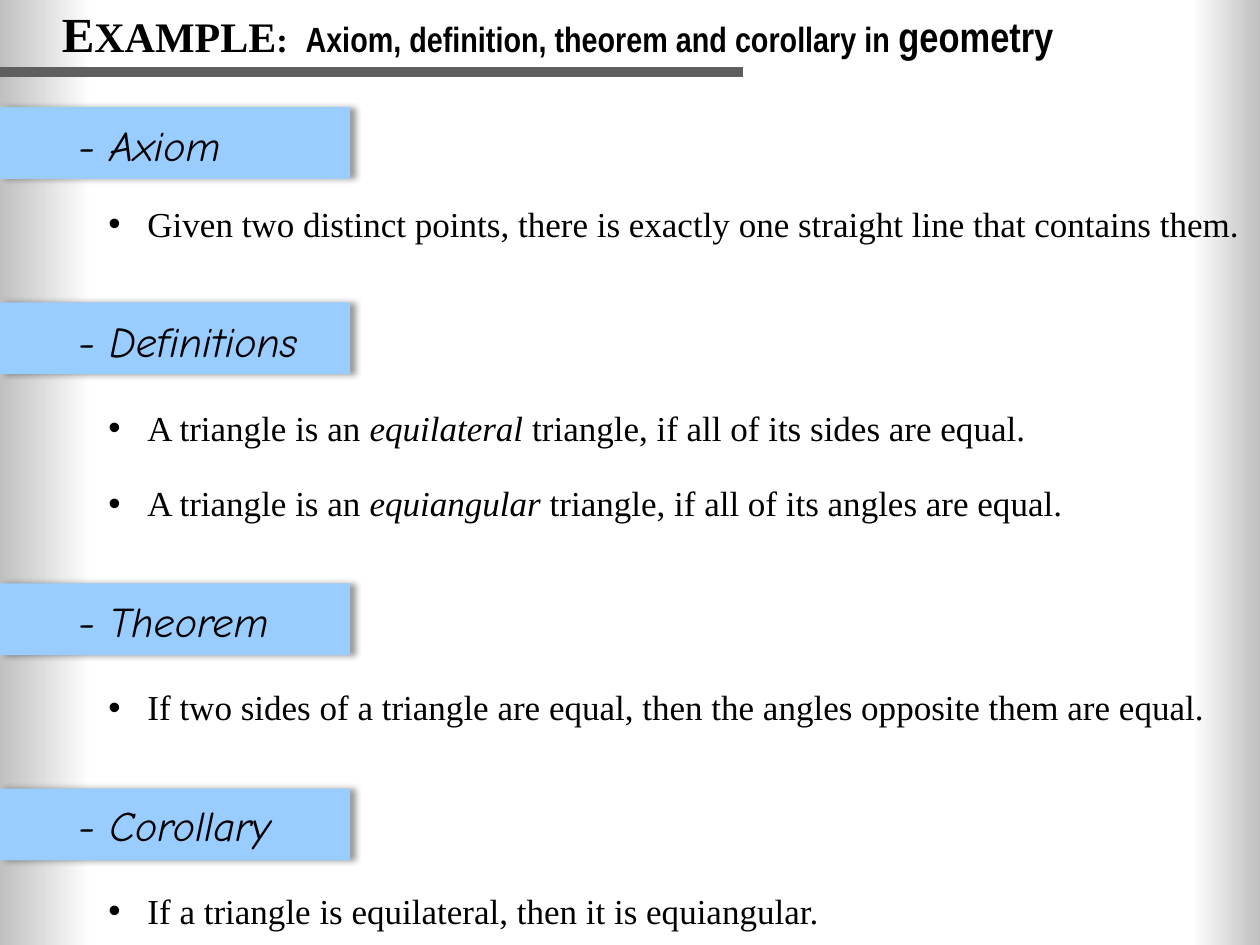
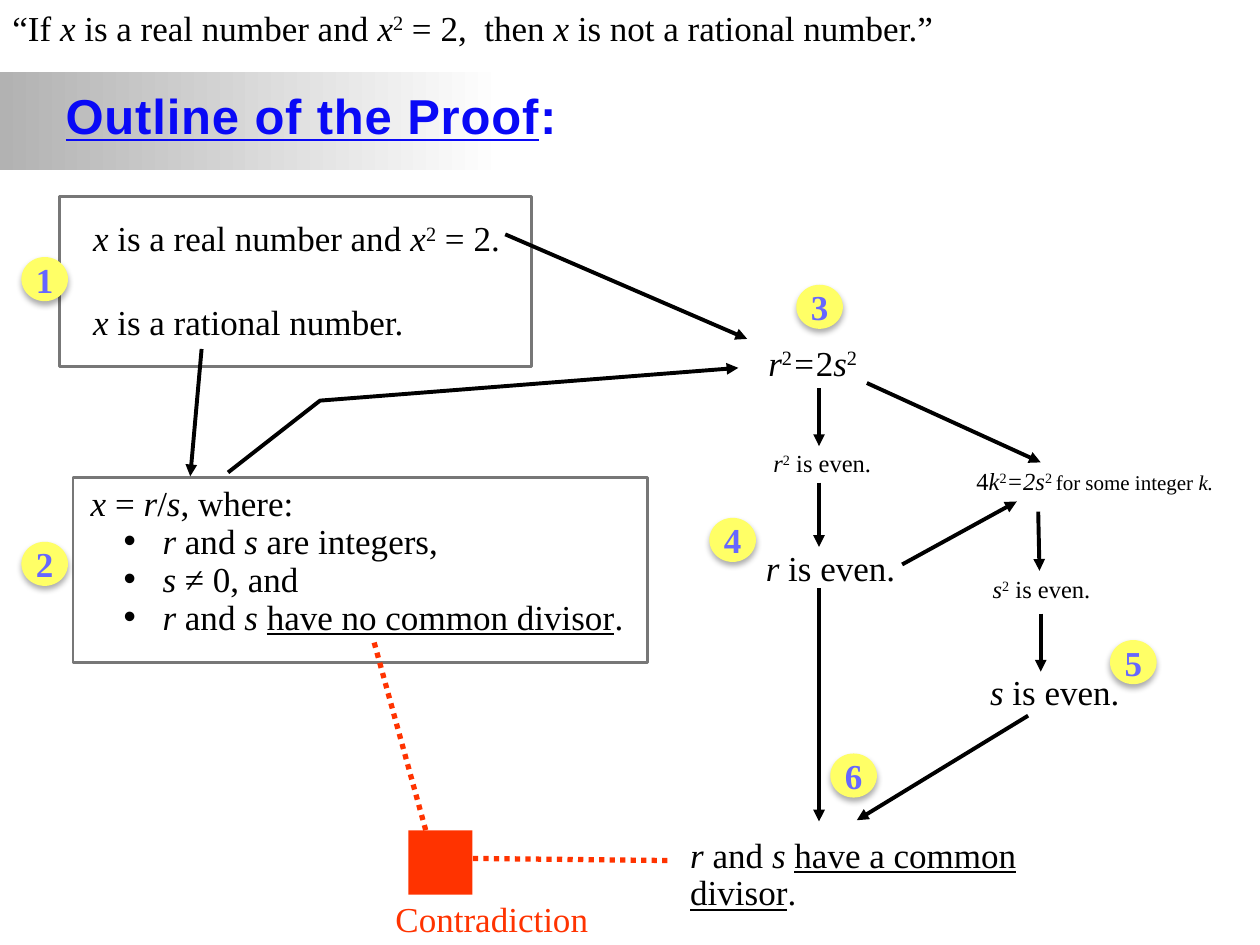
from lxml import etree
from pptx import Presentation
from pptx import util as u
from pptx.dml.color import RGBColor
from pptx.enum import dml, shapes, text
from pptx.oxml.ns import qn

BLACK = RGBColor(0, 0, 0)
WHITE = RGBColor(255, 255, 255)
SILVER = RGBColor(0xC0, 0xC0, 0xC0)
ASH = RGBColor(0xB2, 0xB2, 0xB2)
RULE_GRAY = RGBColor(0x5F, 0x5F, 0x5F)
FRAME_GRAY = RGBColor(0x77, 0x77, 0x77)
BAND_BLUE = RGBColor(0x99, 0xCC, 0xFF)
TITLE_BLUE = RGBColor(0x09, 0x09, 0xF6)
BADGE_YELLOW = RGBColor(0xFF, 0xFF, 0x66)
BADGE_TEXT = RGBColor(0x66, 0x66, 0xFF)
CLASH_RED = RGBColor(0xFF, 0x33, 0x00)

SERIF, SANS, NARROW, HAND = "Times New Roman", "Arial", "Arial Narrow", "Comic Neue"
COLUMNS, ROWS = 10, 7.5  # the slide is a grid of one-inch cells
CELL = u.Inches(1)
TIGHT = 0.9  # line spacing of titles and lists


def grid(*cells):
    """Turn grid cells into slide lengths."""
    return [u.Emu(round(cell * CELL)) for cell in cells]


def write(paragraph, marked, size=20, font=SERIF, color=BLACK, bold=False, spacing=0):
    """Add runs; *italic*, ^superscript^, _underline_ and ~wide~ are marked."""
    pieces, active = [], frozenset()
    for character in marked:
        if character in "*^_~":
            active = active ^ {character}
        elif pieces and pieces[-1][1] == active:
            pieces[-1][0] += character
        else:
            pieces.append([character, active])
    for words, marks in pieces:
        run = paragraph.add_run()
        run.text = words
        run.font.size, run.font.name, run.font.bold = u.Pt(size), font, bold
        run.font.color.rgb = color
        run.font.italic, run.font.underline = "*" in marks, "_" in marks
        properties = run.font._element
        if "^" in marks:
            properties.set("baseline", "30000")
        extra = 5 if "~" in marks else spacing
        if extra:
            properties.set("spc", str(round(extra * 100)))


def indent(paragraph, margin, bullet=False, before=0):
    """Set the left margin, a hanging bullet and the gap above."""
    paragraph.line_spacing = TIGHT
    paragraph.space_before = u.Pt(before)
    properties = paragraph._p.get_or_add_pPr()
    hanging = -0.31 if bullet else 0
    properties.set("marL", str(grid(margin)[0]))
    properties.set("indent", str(grid(hanging)[0]))
    if bullet:
        etree.SubElement(properties, qn("a:buChar")).set("char", "•")
    else:
        etree.SubElement(properties, qn("a:buNone"))


def add_shadow(shape, alpha, blur, distance, angle):
    """Give a shape a soft black shadow."""
    effects = etree.SubElement(shape.element.spPr, qn("a:effectLst"))
    outer = etree.SubElement(effects, qn("a:outerShdw"), blurRad=str(u.Pt(blur)),
                             dist=str(u.Pt(distance)), dir=str(angle * 60000),
                             algn="ctr", rotWithShape="0")
    color = etree.SubElement(outer, qn("a:srgbClr"), val="000000")
    etree.SubElement(color, qn("a:alpha"), val=str(alpha * 1000))


def add_block(slide, box, fill=None, outline=None, kind=shapes.MSO_SHAPE.RECTANGLE,
              shadow=None):
    """Add a plain shape; a pair of colours makes a left-to-right gradient."""
    shape = slide.shapes.add_shape(kind, *grid(*box))
    if isinstance(fill, list):
        shape.fill.gradient()
        shape.fill.gradient_angle = 0
        for stop, color, position in zip(shape.fill.gradient_stops, fill, (0, 1)):
            stop.color.rgb, stop.position = color, position
    elif fill is not None:
        shape.fill.solid()
        shape.fill.fore_color.rgb = fill
    else:
        shape.fill.background()
    if outline is not None:
        shape.line.color.rgb, shape.line.width = outline, u.Pt(1.5)
    else:
        shape.line.fill.background()
    if shadow:
        add_shadow(shape, *shadow)
    else:
        shape.shadow.inherit = False
    return shape


def style_line(shape, color, width, arrow):
    """Format a line and put an arrowhead on its end if asked."""
    shape.line.color.rgb, shape.line.width = color, u.Pt(width)
    if arrow:
        line = shape.line._get_or_add_ln()
        etree.SubElement(line, qn("a:tailEnd"), type="triangle")


def add_line(slide, start, end, color=BLACK, width=2.25, arrow=True):
    """Draw a straight line between two grid points."""
    line = slide.shapes.add_connector(shapes.MSO_CONNECTOR.STRAIGHT,
                                      *grid(*start, *end))
    style_line(line, color, width, arrow)
    etree.SubElement(line.element.spPr, qn("a:effectLst"))


def add_bent_line(slide, points, color=BLACK, width=2.25, arrow=True):
    """Draw an open line through several grid points."""
    first, *others = [grid(*point) for point in points]
    builder = slide.shapes.build_freeform(*first, scale=1.0)
    builder.add_line_segments(others, close=False)
    shape = builder.convert_to_shape()
    shape.fill.background()
    shape.shadow.inherit = False
    style_line(shape, color, width, arrow)
    return shape


def set_placeholder(slide, index, box):
    """Move a placeholder in front of what is drawn and return its text frame."""
    shape = slide.placeholders[index]
    shape.left, shape.top, shape.width, shape.height = grid(*box)
    shape.element.getparent().append(shape.element)
    frame = shape.text_frame
    frame.word_wrap, frame.auto_size = True, text.MSO_AUTO_SIZE.NONE
    frame.vertical_anchor = text.MSO_ANCHOR.TOP
    frame.paragraphs[0].alignment = text.PP_ALIGN.LEFT
    return frame


def add_text(slide, box, *lines, size=20, color=BLACK, gap=0, line_spacing=1.0):
    """Add a text box with one paragraph for each line."""
    frame = slide.shapes.add_textbox(*grid(*box)).text_frame
    frame.word_wrap = True
    for number, line in enumerate(lines):
        paragraph = frame.add_paragraph() if number else frame.paragraphs[0]
        paragraph.line_spacing = line_spacing
        paragraph.space_before = u.Pt(gap if number else 0)
        write(paragraph, line, size, color=color)


def add_badge(slide, number, left, top):
    """Add a numbered yellow step marker."""
    badge = add_block(slide, (left, top, 0.37, 0.35), BADGE_YELLOW,
                      kind=shapes.MSO_SHAPE.OVAL, shadow=(32, 3.5, 2.2, 90))
    frame = badge.text_frame
    frame.margin_left = frame.margin_right = frame.margin_top = frame.margin_bottom = 0
    frame.word_wrap = False
    frame.vertical_anchor = text.MSO_ANCHOR.MIDDLE
    frame.paragraphs[0].alignment = text.PP_ALIGN.CENTER
    write(frame.paragraphs[0], str(number), color=BADGE_TEXT, bold=True)


def add_side_shades(slide):
    """Shade the left and right edges of the slide."""
    add_block(slide, (COLUMNS - 0.54, 0, 0.54, ROWS), [WHITE, SILVER])
    add_block(slide, (0, 0, 0.73, ROWS), [SILVER, WHITE])


def add_sections(slide, box, sections):
    """Write headings with bullets below them into the body."""
    frame = set_placeholder(slide, 1, box)
    for number, (heading, gap, bullets) in enumerate(sections):
        paragraph = frame.add_paragraph() if number else frame.paragraphs[0]
        indent(paragraph, 0.52, before=44 if number else 0)
        write(paragraph, f"*- {heading}*", 24, HAND)
        for position, bullet in enumerate(bullets):
            paragraph = frame.add_paragraph()
            indent(paragraph, 1.07, True, before=21.6 if position else gap)
            write(paragraph, bullet)


def build_terms_slide(presentation):
    """Build the slide that shows the four kinds of statement."""
    slide = presentation.slides.add_slide(presentation.slide_layouts[1])
    add_side_shades(slide)
    for top in (0.85, 2.4, 4.63, 6.26):
        add_block(slide, (0, top, 2.78, 0.57), BAND_BLUE, shadow=(40, 4, 3, 0))
    title = set_placeholder(slide, 0, (0.39, 0.03, 9.5, 0.5)).paragraphs[0]
    title.line_spacing = TIGHT
    write(title, "E", 28, bold=True)
    write(title, "XAMPLE", 24, bold=True)
    write(title, ":~ ~", bold=True)
    write(title, "Axiom, definition, theorem and corollary in ", 20, NARROW, bold=True)
    write(title, "geometry", 24, NARROW, bold=True)
    add_sections(slide, (0, 0.94, COLUMNS, 6.5), [
        ("Axiom", 21, ["Given two distinct points, there is exactly one straight line "
                       "that contains them."]),
        ("Definitions", 25, [
            "A triangle is an *equilateral* triangle, if all of its sides are equal.",
            "A triangle is an *equiangular* triangle, if all of its angles are equal."]),
        ("Theorem", 25, ["If two sides of a triangle are equal, then the angles "
                         "opposite them are equal."]),
        ("Corollary", 25, ["If a triangle is equilateral, then it is equiangular."]),
    ])
    add_line(slide, (0, 0.57), (5.9, 0.57), RULE_GRAY, 6, arrow=False)


def add_assumptions(slide):
    """Write the two framed groups of assumptions."""
    add_text(slide, (0.64, 1.67, 3.6, 1.1), "*x* is a real number and *x*^2^ = 2.",
             "*x* is a rational number.", gap=24)
    frame = set_placeholder(slide, 1, (0.62, 3.81, 4.51, 1.3))
    indent(frame.paragraphs[0], 0)
    write(frame.paragraphs[0], "*x* = *r*/*s*, where:")
    for line in ("*r* and *s* are integers,", "*s* ≠ 0, and",
                 "*r* and *s* _have no common divisor_."):
        paragraph = frame.add_paragraph()
        indent(paragraph, 0.57, True)
        write(paragraph, line)
    add_block(slide, (0.47, 1.56, 3.75, 1.35), outline=FRAME_GRAY)
    add_block(slide, (0.58, 3.79, 4.56, 1.47), outline=FRAME_GRAY)


def add_deductions(slide):
    """Write the statements that follow and the arrows between them."""
    add_text(slide, (6, 2.66, 1.2, 0.43), "*r*^2^*=*2*s*^2^")
    add_text(slide, (5.98, 4.29, 1.4, 0.43), "*r* is even.")
    add_text(slide, (7.76, 5.27, 1.4, 0.43), "*s* is even.")
    add_text(slide, (6.04, 3.51, 1.2, 0.34), "*r*^2^ is even.", size=14)
    add_text(slide, (7.78, 4.51, 1.2, 0.34), "*s*^2^ is even.", size=14)
    add_text(slide, (5.38, 6.6, 3.5, 0.7), "*r* and *s* _have a common divisor_.",
             line_spacing=TIGHT)
    add_text(slide, (7.65, 3.65, 2.35, 0.34), "4*k*^2^*=2s*^2 ^", size=14)
    equation = slide.shapes[-1].text_frame.paragraphs[0]
    write(equation, "for some integer *k.*", 12)
    for start, end in [
            ((1.6, 2.77), (1.51, 3.78)), ((4.01, 1.86), (5.93, 2.69)),
            ((6.5, 3.08), (6.5, 3.54)), ((6.5, 3.83), (6.5, 4.34)),
            ((6.5, 4.67), (6.5, 6.52)), ((6.88, 3.04), (8.26, 3.67)),
            ((7.16, 4.48), (8.07, 3.98)), ((8.24, 4.06), (8.25, 4.53)),
            ((8.26, 4.87), (8.26, 5.33)), ((8.16, 5.68), (6.8, 6.51))]:
        add_line(slide, start, end)
    add_bent_line(slide, [(1.81, 3.75), (2.54, 3.18), (5.86, 2.92)])


def add_contradiction(slide):
    """Join the two clashing statements at a red square."""
    dots = add_bent_line(slide, [(2.97, 5.1), (3.44, 6.81), (5.3, 6.83)],
                         CLASH_RED, 3, arrow=False)
    dots.line.dash_style = dml.MSO_LINE.ROUND_DOT
    add_block(slide, (3.24, 6.59, 0.51, 0.51), CLASH_RED)
    add_text(slide, (3.04, 7.07, 1.82, 0.43), "Contradiction", color=CLASH_RED)


def build_proof_slide(presentation):
    """Build the slide that outlines the proof as a flow of steps."""
    slide = presentation.slides.add_slide(presentation.slide_layouts[1])
    add_block(slide, (0, 0.57, 4, 0.78), [ASH, WHITE])
    add_text(slide, (0, 0, 7.8, 0.43), "“If *x* is a real number and *x*^2^ = 2,~ ~"
             "then *x* is not a rational number.”")
    title = set_placeholder(slide, 0, (0.42, 0.63, 4.5, 0.57)).paragraphs[0]
    write(title, "_Outline of the Proof_:", 28, SANS, TITLE_BLUE, True, spacing=0.5)
    add_assumptions(slide)
    add_deductions(slide)
    add_contradiction(slide)
    places = [(0.17, 2.04), (0.17, 4.3), (6.32, 2.26),
              (5.63, 4.11), (8.81, 5.08), (6.59, 5.98)]
    for number, place in enumerate(places, 1):
        add_badge(slide, number, *place)


presentation = Presentation()
presentation.slide_width, presentation.slide_height = grid(COLUMNS, ROWS)
build_terms_slide(presentation)
build_proof_slide(presentation)
presentation.save("out.pptx")
